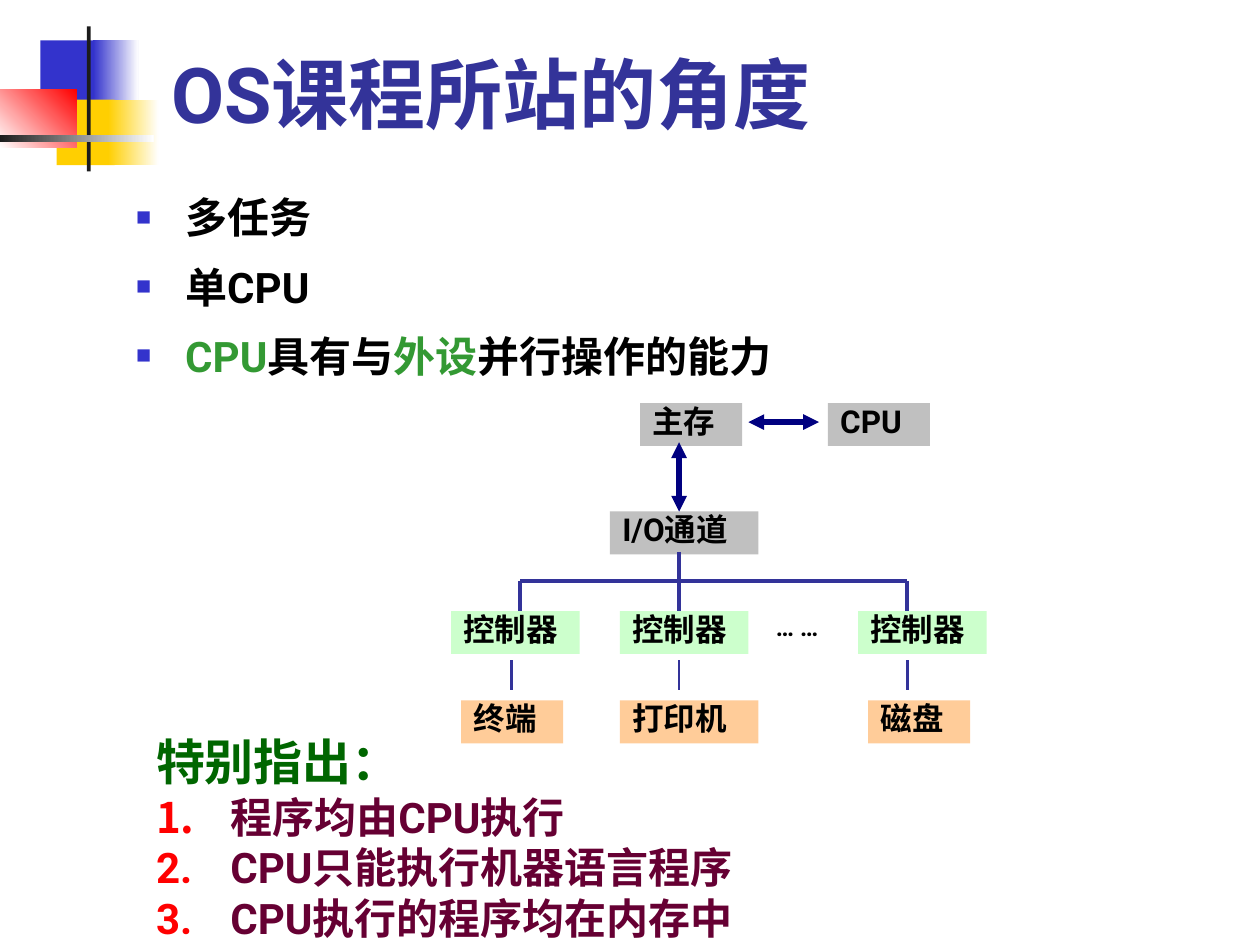
from lxml import etree
from pptx import Presentation
from pptx import util as u
from pptx.dml import color
from pptx.enum import shapes, text
from pptx.oxml import ns

PX = 9144  # EMU per px, 100 px to the inch


def rgb(value):
    return color.RGBColor.from_string(value)


def write(para, spans, size, spacing=None, bullet=()):
    """Fill a paragraph with (text, colour) spans; bullet lists (tag, attributes)."""
    properties = para._p.get_or_add_pPr()
    for tag, attributes in bullet:
        if tag == "indent":
            properties.attrib.update(attributes)
            continue
        item = etree.SubElement(properties, ns.qn("a:" + tag))
        if tag == "buClr":
            item = etree.SubElement(item, ns.qn("a:srgbClr"))
        item.attrib.update(attributes)
    para.alignment = text.PP_ALIGN.LEFT
    if spacing:
        para.line_spacing = spacing
    for words, shade in spans:
        span = para.add_run()
        span.text = words
        for name, value in {"name": "Roboto", "size": u.Pt(size), "bold": True}.items():
            setattr(span.font, name, value)
        span.font.color.rgb = rgb(shade)


deck = Presentation()
deck.slide_width, deck.slide_height = 1000 * PX, 750 * PX
page = deck.slides.add_slide(deck.slide_layouts[1])

# Corner decoration: place, start colour, end colour, angle
decoration = [
    (32, 32, 48, 52, "3333CC", None, 0),
    (74, 32, 36, 52, "3333CC", "FFFFFF", 0),
    (45, 79, 46, 52, "FFCF01", None, 0),
    (86, 79, 40, 52, "FFCF01", "FFFFFF", 0),
    (0, 71, 61, 46, "FFFFFF", "FF0000", 45),
    (69, 21, 3, 115, "1C1C1C", None, 0),
    (0, 107, 122, 6, "1C1C1C", "FFFFFF", 0),
]
for left, top, width, height, start, end, angle in decoration:
    block = page.shapes.add_shape(shapes.MSO_SHAPE.RECTANGLE,
                                  left * PX, top * PX, width * PX, height * PX)
    block.shadow.inherit = False
    block.line.fill.background()
    if end:
        block.fill.gradient()
        block.fill.gradient_angle = angle
        for stop, shade in zip(block.fill.gradient_stops, (start, end)):
            stop.color.rgb = rgb(shade)
            stop.position = 0 if shade == start else 1
    else:
        block.fill.solid()
        block.fill.fore_color.rgb = rgb(start)

# Title and bullet list
title, body = page.shapes.title, page.placeholders[1]
for holder, place in ((title, (126, 36, 852, 79)), (body, (98, 155, 630, 157))):
    for name, value in zip(("left", "top", "width", "height"), place):
        setattr(holder, name, value * PX)
    holder.text_frame.word_wrap = True
    holder.text_frame.auto_size = text.MSO_AUTO_SIZE.NONE
title.text_frame.vertical_anchor = text.MSO_ANCHOR.BOTTOM
body.text_frame.vertical_anchor = text.MSO_ANCHOR.TOP
write(title.text_frame.paragraphs[0], [("OS课程所站的角度", "333399")], 44)

square = [
    ("indent", {"marL": str(39 * PX), "indent": str(-39 * PX)}),
    ("buClr", {"val": "3333CC"}),
    ("buSzPct", {"val": "60000"}),
    ("buChar", {"char": "■"}),
]
points = [
    [("多任务", "000000")],
    [("单CPU", "000000")],
    [("CPU", "339933"), ("具有与", "000000"), ("外设", "339933"),
     ("并行操作的能力", "000000")],
]
for index, spans in enumerate(points):
    para = body.text_frame.add_paragraph() if index else body.text_frame.paragraphs[0]
    write(para, spans, 24, 0.8, square)
    para.space_before = u.Pt(16.5 if index else 0)

# Diagram boxes, row by row: top, fill, then left, width and label
rows = [
    (320, "C0C0C0", [(508, 81, "主存"), (657, 81, "CPU")]),
    (406, "C0C0C0", [(484, 118, "I/O通道")]),
    (485, "CCFFCC", [(left, 102, "控制器") for left in (358, 492, 681)]),
    (556, "FFCC99", [(366, 81, "终端"), (492, 110, "打印机"), (689, 81, "磁盘")]),
]
for top, fill, labels in rows:
    for left, width, label in labels:
        box = page.shapes.add_shape(shapes.MSO_SHAPE.RECTANGLE,
                                    left * PX, top * PX, width * PX, 34 * PX)
        box.shadow.inherit = False
        box.line.fill.background()
        box.fill.solid()
        box.fill.fore_color.rgb = rgb(fill)
        box.text_frame.word_wrap = True
        box.text_frame.vertical_anchor = text.MSO_ANCHOR.TOP
        write(box.text_frame.paragraphs[0], [(label, "000000")], 18, 0.8)

dots = page.shapes.add_textbox(606 * PX, 485 * PX, 58 * PX, 29 * PX)
dots.text_frame.word_wrap = False
write(dots.text_frame.paragraphs[0], [("… …", "000000")], 14, 0.8)

# Diagram lines: ends, colour, weight, arrowheads
lines = [
    (594, 335, 650, 335, "000080", 3, True),
    (539, 351, 539, 406, "000080", 3, True),
    (539, 438, 539, 461, "333399", 2.25, False),
    (413, 461, 720, 461, "333399", 2.25, False),
]
lines += [(x, 461, x, 485, "333399", 2.25, False) for x in (413, 539, 720)]
lines += [(x, 524, x, 548, "333399", 1.5, False) for x in (406, 539, 720)]
for x1, y1, x2, y2, shade, weight, arrows in lines:
    link = page.shapes.add_connector(shapes.MSO_CONNECTOR.STRAIGHT,
                                     x1 * PX, y1 * PX, x2 * PX, y2 * PX)
    link.line.color.rgb = rgb(shade)
    link.line.width = u.Pt(weight)
    if arrows:
        for tag in ("a:headEnd", "a:tailEnd"):
            etree.SubElement(link.line._get_or_add_ln(), ns.qn(tag), type="triangle")
    etree.SubElement(link._element.spPr, ns.qn("a:effectLst"))

# Closing notes
notes = page.shapes.add_textbox(114 * PX, 585 * PX, 724 * PX, 169 * PX).text_frame
notes.word_wrap = True
write(notes.paragraphs[0], [("特别指出：", "006600")], 28, 0.8)
number = [
    ("indent", {"marL": str(59 * PX), "indent": str(-59 * PX)}),
    ("buClr", {"val": "FF0000"}),
    ("buFont", {"typeface": "Roboto"}),
    ("buAutoNum", {"type": "arabicPeriod"}),
]
for note in ("程序均由CPU执行", "CPU只能执行机器语言程序", "CPU执行的程序均在内存中"):
    para = notes.add_paragraph()
    write(para, [(note, "660033")], 24, 0.8, number)
    para.space_before = u.Pt(6)

deck.save("out.pptx")
